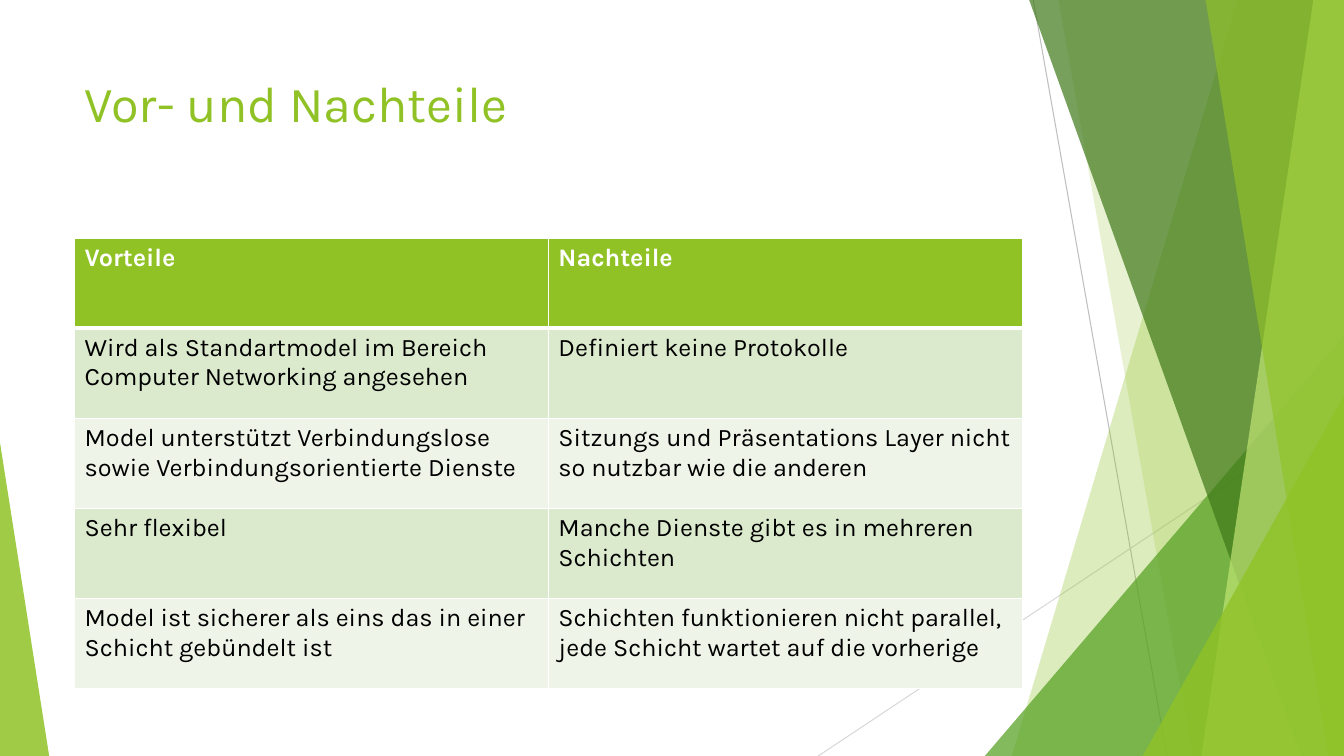
from lxml.etree import SubElement
from pptx import Presentation
from pptx.dml.color import RGBColor
from pptx.enum.shapes import MSO_CONNECTOR, MSO_SHAPE
from pptx.enum.text import MSO_ANCHOR, PP_ALIGN
from pptx.oxml.ns import qn
from pptx.util import Cm, Pt

FONT = "Karla"
COLORS = {
    "lime": "90C226",
    "pale lime": "C0E474",
    "green": "54A021",
    "dark green": "3F7819",
    "band dark": "DBE9CD",
    "band light": "EEF4E8",
    "line": "BFBFBF",
    "light line": "D9D9D9",
    "white": "FFFFFF",
    "black": "000000",
}
WIDTH, HEIGHT = 33.87, 19.05
TOP = -0.02
LEFT, CONTENT_WIDTH = 1.88, 23.88
ROW_HEIGHT = 2.27

# Lines: start x, start y, end x, end y, color
LINES = [
    (26.04, 0, 29.41, HEIGHT, "line"),
    (WIDTH, 10.24, 20.62, HEIGHT, "light line"),
]
# Panels reach to the right edge: top left x, bottom left x, color, opacity
BACK_PANELS = [(31.19, 25.5, "lime", 30), (26.67, 30.05, "lime", 20)]
FRONT_PANELS = [
    (25.93, 32.79, "dark green", 70),
    (33.1, 30.28, "pale lime", 70),
    (30.38, 33.48, "lime", 65),
]
ROWS = [
    ("Vorteile", "Nachteile"),
    ("Wird als Standartmodel im Bereich Computer Networking angesehen",
     "Definiert keine Protokolle"),
    ("Model unterstützt Verbindungslose sowie Verbindungsorientierte Dienste",
     "Sitzungs und Präsentations Layer nicht so nutzbar wie die anderen"),
    ("Sehr flexibel", "Manche Dienste gibt es in mehreren Schichten"),
    ("Model ist sicherer als eins das in einer Schicht gebündelt ist",
     "Schichten funktionieren nicht parallel, jede Schicht wartet auf die vorherige"),
]


def rgb(name):
    return RGBColor.from_string(COLORS[name])


def write_text(text_frame, text, *, size, color, bold=False):
    paragraph = text_frame.paragraphs[0]
    paragraph.alignment = PP_ALIGN.LEFT
    run = paragraph.add_run()
    run.text = text
    run.font.name = FONT
    run.font.size = Pt(size)
    run.font.bold = bold
    run.font.color.rgb = rgb(color)


def paint(shape, color, opacity):
    shape.shadow.inherit = False
    shape.line.fill.background()
    shape.fill.solid()
    shape.fill.fore_color.rgb = rgb(color)
    color_element = shape.fill._xPr.find(qn("a:solidFill"))[0]
    SubElement(color_element, qn("a:alpha"), val=str(opacity * 1000))


def add_line(slide, start_x, start_y, end_x, end_y, color):
    connector = slide.shapes.add_connector(
        MSO_CONNECTOR.STRAIGHT, Cm(start_x), Cm(start_y), Cm(end_x), Cm(end_y))
    connector.line.color.rgb = rgb(color)
    connector.line.width = Pt(0.75)
    SubElement(connector._element.spPr, qn("a:effectLst"))


def add_panel(slide, top_x, bottom_x, color, opacity):
    builder = slide.shapes.build_freeform(Cm(top_x), Cm(TOP))
    corners = [(WIDTH, TOP), (WIDTH, HEIGHT), (bottom_x, HEIGHT)]
    builder.add_line_segments([(Cm(x), Cm(y)) for x, y in corners], close=True)
    paint(builder.convert_to_shape(), color, opacity)


def add_triangle(slide, left, top, width, apex, color, opacity):
    triangle = slide.shapes.add_shape(
        MSO_SHAPE.ISOSCELES_TRIANGLE, Cm(left), Cm(top), Cm(width), Cm(HEIGHT - top))
    triangle.adjustments[0] = apex
    paint(triangle, color, opacity)


def add_decoration(slide):
    for line in LINES:
        add_line(slide, *line)
    for panel in BACK_PANELS:
        add_panel(slide, *panel)
    add_triangle(slide, 24.82, 8.46, 9.05, 1, "green", 72)
    for panel in FRONT_PANELS:
        add_panel(slide, *panel)
    add_triangle(slide, 28.8, 9.98, 5.07, 1, "lime", 80)
    add_triangle(slide, 0, 11.15, 1.24, 0, "lime", 85)


def set_title(slide, text):
    title = slide.shapes.title
    title.left, title.top = Cm(LEFT), Cm(1.7)
    title.width, title.height = Cm(CONTENT_WIDTH), Cm(3.66)
    title.text_frame.vertical_anchor = MSO_ANCHOR.TOP
    write_text(title.text_frame, text, size=36, color="lime")


def set_borders(cell, **widths):
    properties = cell._tc.get_or_add_tcPr()
    for side in "LRTB":
        width = Pt(widths.get(side, 1))
        border = SubElement(properties, qn(f"a:ln{side}"), w=str(width))
        fill = SubElement(border, qn("a:solidFill"))
        SubElement(fill, qn("a:srgbClr"), val=COLORS["white"])


def add_comparison_table(slide, rows):
    table = slide.shapes.add_table(
        len(rows), len(rows[0]), Cm(LEFT), Cm(6), Cm(CONTENT_WIDTH),
        Cm(ROW_HEIGHT * len(rows))).table
    for row_index, row in enumerate(rows):
        header = row_index == 0
        band = "band dark" if row_index % 2 else "band light"
        for column_index, text in enumerate(row):
            cell = table.cell(row_index, column_index)
            set_borders(cell, B=3 if header else 1, T=3 if row_index == 1 else 1)
            cell.fill.solid()
            cell.fill.fore_color.rgb = rgb("lime" if header else band)
            write_text(cell.text_frame, text, size=18, bold=header,
                       color="white" if header else "black")


def main():
    presentation = Presentation()
    presentation.slide_width, presentation.slide_height = Cm(WIDTH), Cm(HEIGHT)
    slide = presentation.slides.add_slide(presentation.slide_layouts[5])

    # Background decoration
    add_decoration(slide)

    # Content
    set_title(slide, "Vor- und Nachteile")
    add_comparison_table(slide, ROWS)

    presentation.save("out.pptx")


if __name__ == "__main__":
    main()
